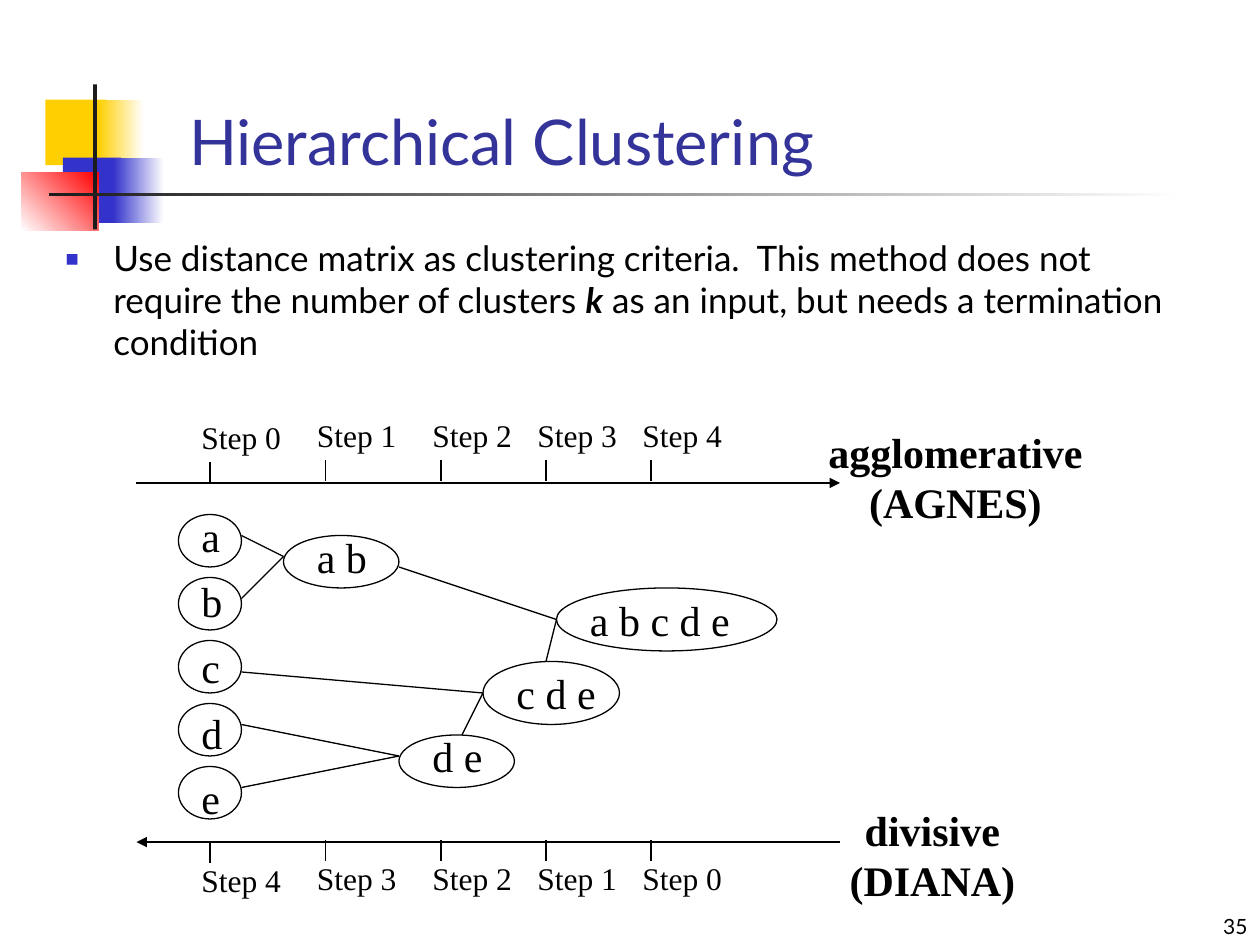
from lxml import etree
from pptx import Presentation
from pptx.dml.color import RGBColor
from pptx.enum.shapes import MSO_CONNECTOR, MSO_SHAPE
from pptx.enum.text import MSO_ANCHOR, MSO_AUTO_SIZE, PP_ALIGN
from pptx.oxml.ns import qn
from pptx.util import Inches, Pt

RECT, OVAL, STRAIGHT = MSO_SHAPE.RECTANGLE, MSO_SHAPE.OVAL, MSO_CONNECTOR.STRAIGHT
LEFT, CENTER, RIGHT = PP_ALIGN.LEFT, PP_ALIGN.CENTER, PP_ALIGN.RIGHT
TOP, MIDDLE, BOTTOM = MSO_ANCHOR.TOP, MSO_ANCHOR.MIDDLE, MSO_ANCHOR.BOTTOM
NO_FIT, GROW = MSO_AUTO_SIZE.NONE, MSO_AUTO_SIZE.SHAPE_TO_FIT_TEXT

BLACK = RGBColor(0x00, 0x00, 0x00)
WHITE = RGBColor(0xFF, 0xFF, 0xFF)
YELLOW = RGBColor(0xFF, 0xCF, 0x01)
BLUE = RGBColor(0x33, 0x33, 0xCC)
RED = RGBColor(0xFF, 0x00, 0x00)
DARK = RGBColor(0x1C, 0x1C, 0x1C)
NAVY = RGBColor(0x33, 0x33, 0x99)
SANS, SERIF = "Lato", "Times New Roman"
THIN, THICK = 0.74, 1.5

prs = Presentation()
prs.slide_width, prs.slide_height = Inches(10), Inches(7.5)
U = prs.slide_width / 120  # the diagram sits on a grid of 120 x 90 units
s = prs.slides.add_slide(prs.slide_layouts[1])


def add_text(x, y, w, h, lines, size, font=SERIF, bold=False, align=LEFT, wrap=False):
    """Add a text box, in grid units, with one paragraph per line."""
    box = s.shapes.add_textbox(int(x * U), int(y * U), int(w * U), int(h * U))
    tf = box.text_frame
    tf.word_wrap = wrap
    tf.auto_size = GROW
    for i, line in enumerate(lines):
        p = tf.paragraphs[0] if i == 0 else tf.add_paragraph()
        p.alignment = align
        r = p.add_run()
        r.text = line
        r.font.name, r.font.size, r.font.bold = font, Pt(size), bold
        r.font.color.rgb = BLACK
    return box


def add_line(x1, y1, x2, y2, width=THIN, arrow=False):
    """Add a straight line in grid units, with an optional arrowhead at its end."""
    line = s.shapes.add_connector(STRAIGHT, int(x1 * U), int(y1 * U), int(x2 * U), int(y2 * U))
    line.line.color.rgb = BLACK
    line.line.width = Pt(width)
    if arrow:
        etree.SubElement(line.line._get_or_add_ln(), qn("a:tailEnd"), type="triangle")
    etree.SubElement(line._element.spPr, qn("a:effectLst"))


# Corner decoration: left, top, width, height, colour, end colour, angle
decoration = [
    (0.36, 0.79, 0.48, 0.52, YELLOW, None, 0),
    (0.78, 0.79, 0.36, 0.52, YELLOW, WHITE, 0),
    (0.5, 1.25, 0.46, 0.52, BLUE, None, 0),
    (0.9, 1.25, 0.4, 0.52, BLUE, WHITE, 0),
    (0.17, 1.37, 0.61, 0.46, WHITE, RED, 45),
    (0.74, 0.67, 0.03, 1.15, DARK, None, 0),
    (0.39, 1.53, 9, 0.03, DARK, WHITE, 0),
]
for x, y, w, h, start, end, angle in decoration:
    block = s.shapes.add_shape(RECT, Inches(x), Inches(y), Inches(w), Inches(h))
    block.shadow.inherit = False
    block.line.fill.background()
    if end is None:
        block.fill.solid()
        block.fill.fore_color.rgb = start
    else:
        block.fill.gradient()
        block.fill.gradient_angle = angle
        for stop, color in zip(block.fill.gradient_stops, (start, end)):
            stop.color.rgb = color

# Title and body placeholders
title, body = s.shapes.title, s.placeholders[1]
contents = [
    (title, (1.4, 0.87, 7.98, 0.48), MIDDLE, 36, NAVY, ["Hierarchical Clustering"]),
    (body, (0.42, 1.83, 9.08, 5.25), TOP, 20, BLACK, [
        "Use distance matrix as clustering criteria.  This method does not "
        "require the number of clusters ",
        "k",
        " as an input, but needs a termination condition ",
    ]),
]
for sp, frame, anchor, size, color, texts in contents:
    sp.left, sp.top, sp.width, sp.height = [Inches(v) for v in frame]
    tf = sp.text_frame
    tf.word_wrap, tf.auto_size, tf.vertical_anchor = True, NO_FIT, anchor
    p = tf.paragraphs[0]
    p.alignment = LEFT
    for text in texts:
        r = p.add_run()
        r.text = text
        r.font.name, r.font.size, r.font.color.rgb = SANS, Pt(size), color
        if text == "k":
            r.font.bold = r.font.italic = True

p = body.text_frame.paragraphs[0]
p.space_before = Pt(12.5)
pPr = p._p.get_or_add_pPr()
pPr.set("marL", str(Inches(0.38)))
pPr.set("indent", str(-Inches(0.38)))
bullet_color = etree.SubElement(pPr, qn("a:buClr"))
etree.SubElement(bullet_color, qn("a:srgbClr"), val=str(BLUE))
etree.SubElement(pPr, qn("a:buSzPct"), val="40000")
etree.SubElement(pPr, qn("a:buFont"), typeface=SANS)
etree.SubElement(pPr, qn("a:buChar"), char="■")

page = add_text(95, 85, 25, 5, ["35"], 12, SANS, align=RIGHT, wrap=True)
page.text_frame.auto_size = NO_FIT
page.text_frame.vertical_anchor = BOTTOM

# Step axes: agglomerative runs right, divisive runs left
add_line(13, 46, 80, 46, THICK, arrow=True)
add_line(80, 80.2, 13, 80.2, THICK, arrow=True)
for step, x in enumerate((20, 31, 42, 52, 62)):
    drop = 0.2 if step == 0 else 0
    for tick_y, label_y, number in ((43.8, 39, step), (80, 81.2, 4 - step)):
        add_line(x, tick_y + drop, x, tick_y + drop + 2)
        add_text(x - 2, label_y + drop, 10, 4.8, [f"Step {number}"], 18, wrap=True)

# Clusters: name, oval frame, label position and width
clusters = [(name, (17, 49 + 6 * i, 6, 5), (18, 48 + 6.25 * i, 4.25))
            for i, name in enumerate("abcde")]
clusters += [
    ("a b", (27, 51, 11, 5), (29, 50, 7.2)),
    ("d e", (38, 70, 11, 5), (40, 69, 7.2)),
    ("c d e", (46, 63, 13, 6), (48, 63, 10)),
    ("a b c d e", (53, 56, 21, 6), (55, 56, 15.7)),
]
for name, frame, (x, y, w) in clusters:
    add_text(x, y, w, 6, [name], 24)
    oval = s.shapes.add_shape(OVAL, *[int(v * U) for v in frame])
    oval.shadow.inherit = False
    oval.fill.background()
    oval.line.color.rgb = BLACK
    oval.line.width = Pt(THIN)

# Merges: meeting point, then the start of each branch
merges = [
    ((27, 53), (23, 51), (23, 57)),
    ((38, 72), (23, 69), (23, 75)),
    ((46, 66), (23, 64), (44, 70)),
    ((53, 59), (38, 54), (52, 63)),
]
for joint, *branches in merges:
    for branch in branches:
        add_line(*branch, *joint)

# Method names, each centred beside its axis
for center, y, lines in ((91, 40, ["agglomerative", "(AGNES)"]),
                         (88.8, 76, ["divisive", "(DIANA)"])):
    add_text(center - 14, y, 28, 10.8, lines, 24, bold=True, align=CENTER)

prs.save("out.pptx")
